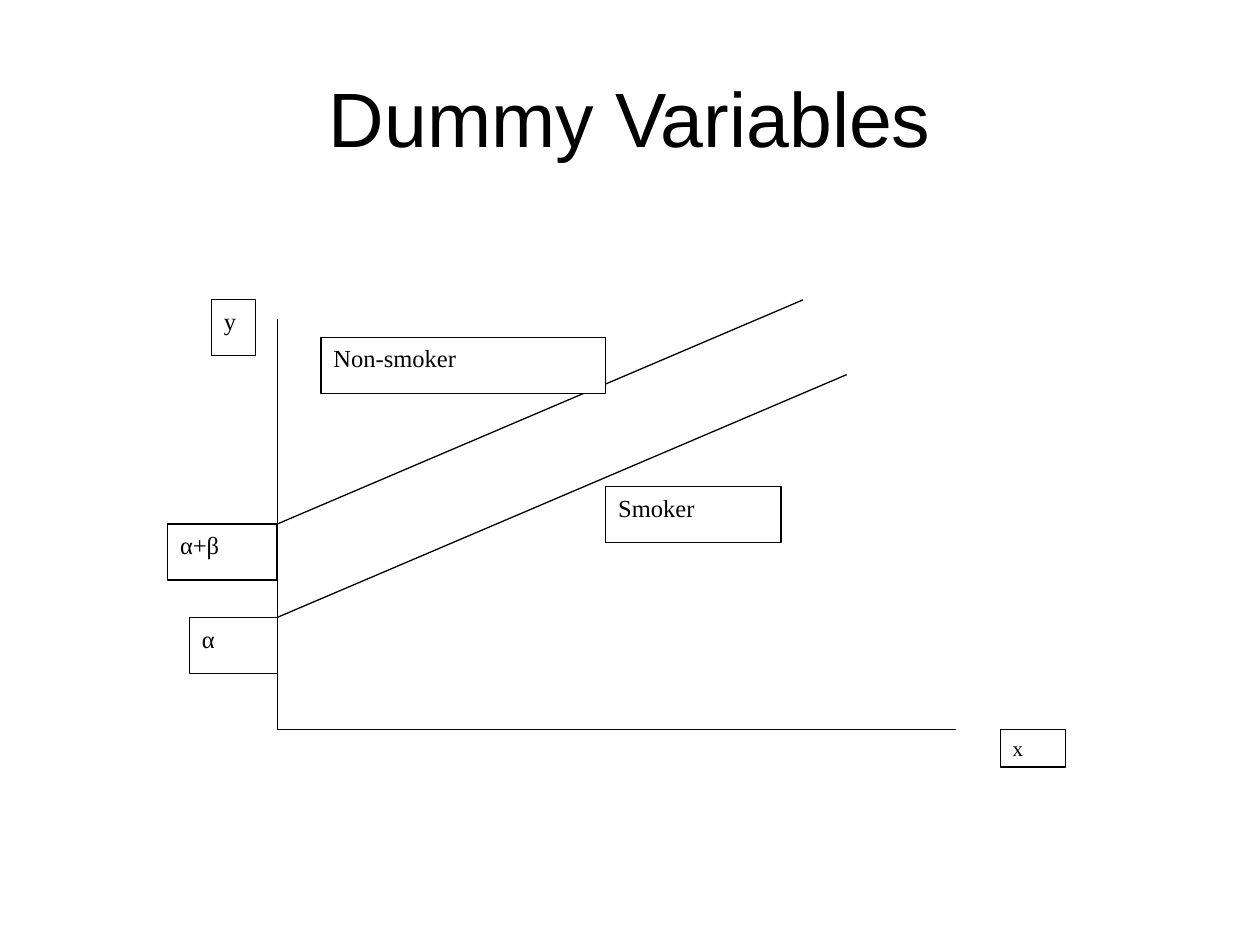
from lxml.etree import SubElement
from pptx import Presentation
from pptx.dml.color import RGBColor
from pptx.enum.shapes import MSO_CONNECTOR, MSO_SHAPE
from pptx.enum.text import MSO_ANCHOR, PP_ALIGN
from pptx.oxml.ns import qn
from pptx.util import Inches, Pt

BLACK = RGBColor(0, 0, 0)
WHITE = RGBColor(255, 255, 255)

# The graph sits on a grid counted right and up from its origin (inches).
ORIGIN_X, ORIGIN_Y = 2.2, 5.79
COLUMN = 5.39 / 31
ROW = 3.41 / 23

# Start and end, each as (column, row)
LINES = [
    ((0, 22), (0, 0)),    # y axis
    ((0, 0), (31, 0)),    # x axis
    ((0, 6), (26, 19)),   # smoker
    ((0, 11), (24, 23)),  # non-smoker
]

# Text, left column, top row, columns wide, rows high, text size
LABELS = [
    ("α", -4, 6, 4, 3, 14),
    ("α+β", -5, 11, 5, 3, 14),
    ("Non-smoker", 2, 21, 13, 3, 14),
    ("Smoker", 15, 13, 8, 3, 14),
    ("y", -3, 23, 2, 3, 14),
    ("x", 33, 0, 3, 2, 12),
]


def grid_point(column, row):
    return Inches(ORIGIN_X + column * COLUMN), Inches(ORIGIN_Y - row * ROW)


class GraphSlide:
    title_font = "Arial"
    label_font = "Times New Roman"
    line_width = Pt(0.75)

    def __init__(self, deck):
        self.deck = deck
        self.page = deck.slides.add_slide(deck.slide_layouts[6])

    def add_text(self, shape, text, anchor, align, **font_format):
        frame = shape.text_frame
        frame.word_wrap = True
        frame.vertical_anchor = anchor
        para = frame.paragraphs[0]
        para.alignment = align
        span = para.add_run()
        span.text = text
        span.font.color.rgb = BLACK
        for name, value in font_format.items():
            setattr(span.font, name, value)

    def outline(self, shape):
        shape.line.color.rgb = BLACK
        shape.line.width = self.line_width

    def title(self, text, left, top, width, height):
        """Add a centred title; lengths are shares of the slide's size."""
        across, down = self.deck.slide_width, self.deck.slide_height
        box = self.page.shapes.add_textbox(
            int(left * across), int(top * down),
            int(width * across), int(height * down))
        self.add_text(box, text, MSO_ANCHOR.MIDDLE, PP_ALIGN.CENTER,
                      name=self.title_font, size=Pt(44))

    def line(self, start, end):
        connector = self.page.shapes.add_connector(
            MSO_CONNECTOR.STRAIGHT, *grid_point(*start), *grid_point(*end))
        self.outline(connector)
        SubElement(connector._element.spPr, qn("a:effectLst"))

    def label(self, text, column, row, columns, rows, size):
        box = self.page.shapes.add_shape(
            MSO_SHAPE.RECTANGLE, *grid_point(column, row),
            Inches(columns * COLUMN), Inches(rows * ROW))
        box.shadow.inherit = False
        box.fill.solid()
        box.fill.fore_color.rgb = WHITE
        self.outline(box)
        self.add_text(box, text, MSO_ANCHOR.TOP, PP_ALIGN.LEFT,
                      name=self.label_font, size=Pt(size))


def main():
    deck = Presentation()
    deck.slide_width, deck.slide_height = Inches(10), Inches(7.5)
    slide = GraphSlide(deck)
    slide.title("Dummy Variables", 0.05, 0.04, 0.9, 1 / 6)
    for start, end in LINES:
        slide.line(start, end)
    for label in LABELS:
        slide.label(*label)
    deck.save("out.pptx")


if __name__ == "__main__":
    main()
